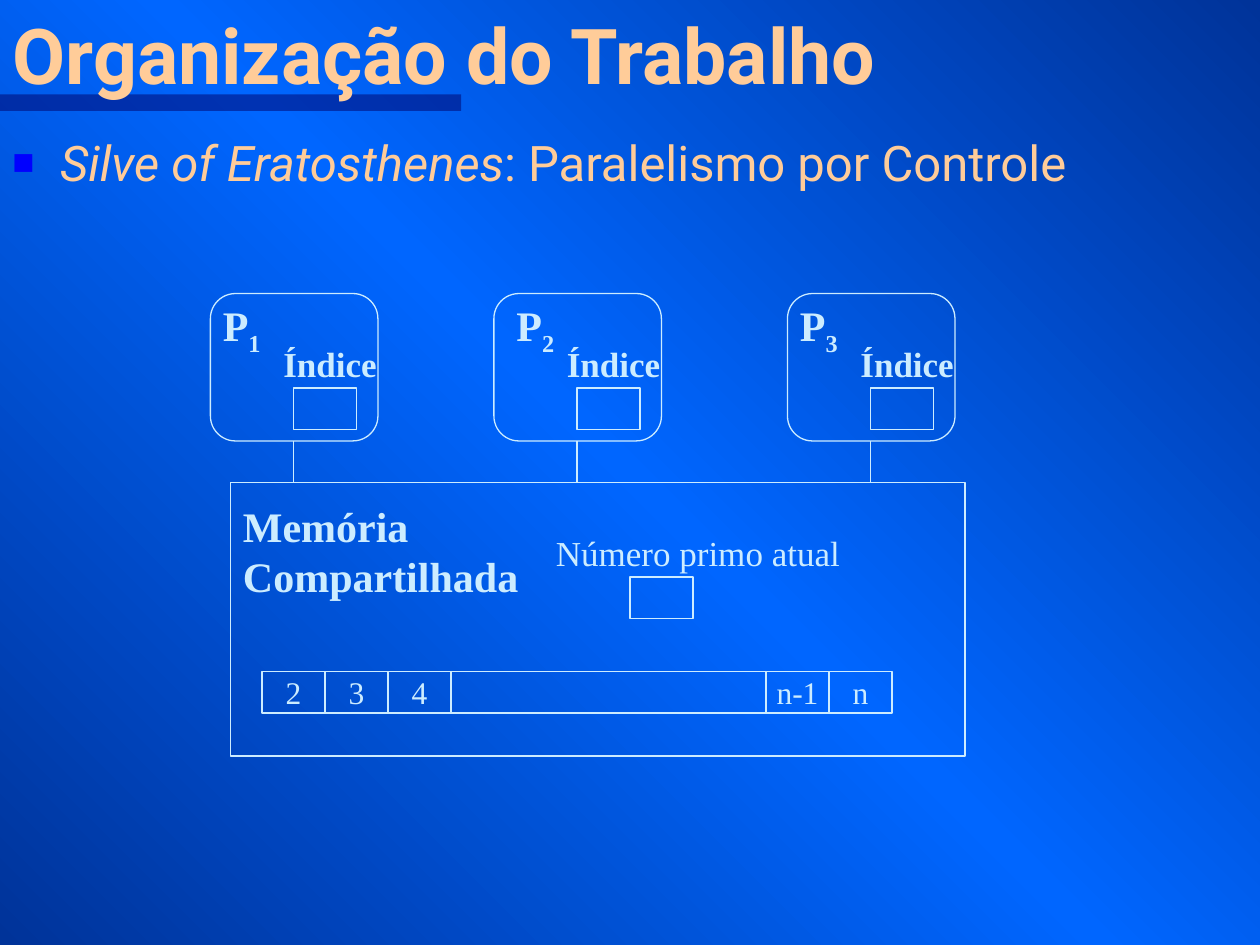
import copy
from dataclasses import dataclass

import pptx
import pptx.dml.color
import pptx.enum.shapes
import pptx.enum.text
import pptx.oxml
import pptx.oxml.ns
import pptx.util

Inches = pptx.util.Inches
Pt = pptx.util.Pt
SHAPES = pptx.enum.shapes.MSO_SHAPE
ALIGN = pptx.enum.text.PP_ALIGN
ANCHOR = pptx.enum.text.MSO_ANCHOR
AUTO_SIZE = pptx.enum.text.MSO_AUTO_SIZE


@dataclass(frozen=True)
class Theme:
    edge: str = "003399"
    glow: str = "0066FF"
    bar: str = "000066"
    heading: str = "FFCC99"
    bullet: str = "0000FF"
    diagram: str = "CCECFF"
    heading_font: str = "Roboto"
    diagram_font: str = "Times New Roman"
    title_size: int = 44
    body_size: int = 28
    name_size: int = 24
    label_size: int = 20
    cell_size: int = 18
    line_width: float = 0.75


THEME = Theme()


def rgb(value):
    return pptx.dml.color.RGBColor.from_string(value)


def add_xml(parent, tag, **attributes):
    child = pptx.oxml.parse_xml(f"<a:{tag} {pptx.oxml.ns.nsdecls('a')}/>")
    for name, value in attributes.items():
        child.set(name, value)
    parent.append(child)


def add_run(paragraph, text, size, color=THEME.diagram, font=THEME.diagram_font,
            bold=False, italic=False):
    run = paragraph.add_run()
    run.text = text
    run.font.size = Pt(size)
    run.font.name = font
    run.font.color.rgb = rgb(color)
    run.font.bold = bold
    run.font.italic = italic
    return run


def paint_background(slide):
    fill = slide.background.fill
    fill.gradient()
    fill.gradient_angle = 225
    stops = slide._element.xpath(".//a:gsLst")[0]
    stops.insert(1, copy.deepcopy(stops[0]))
    colors = (THEME.edge, THEME.glow, THEME.edge)
    for stop, position, color in zip(fill.gradient_stops, (0, 0.5, 1), colors):
        stop.position = position
        stop.color.rgb = rgb(color)


def add_title_bar(slide):
    bar = slide.shapes.add_shape(SHAPES.RECTANGLE, 0, Inches(0.75), Inches(3.66), Inches(0.13))
    bar.shadow.inherit = False
    bar.line.fill.background()
    bar.fill.solid()
    bar.fill.fore_color.rgb = rgb(THEME.bar)
    add_xml(bar._element.xpath(".//a:solidFill/a:srgbClr")[0], "alpha", val="50000")
    slide.shapes._spTree.insert(2, bar._element)


def set_title(slide, text):
    title = slide.shapes.title
    title.left, title.top = 0, Inches(-0.08)
    title.width, title.height = Inches(10), Inches(0.92)
    frame = title.text_frame
    frame.auto_size = AUTO_SIZE.NONE
    frame.vertical_anchor = ANCHOR.BOTTOM
    frame.paragraphs[0].alignment = ALIGN.LEFT
    add_run(frame.paragraphs[0], text, THEME.title_size, THEME.heading,
            THEME.heading_font, bold=True)


def add_text_box(slide, left, top, width, height, align=ALIGN.LEFT):
    box = slide.shapes.add_textbox(Inches(left), Inches(top), Inches(width), Inches(height))
    box.text_frame.word_wrap = True
    paragraph = box.text_frame.paragraphs[0]
    paragraph.alignment = align
    return paragraph


def add_bullet(slide, emphasis, rest):
    paragraph = add_text_box(slide, 0, 1, 10, 5.5)
    properties = paragraph._p.get_or_add_pPr()
    properties.set("marL", str(Inches(0.38)))
    properties.set("indent", str(Inches(-0.38)))
    add_xml(properties, "buClr")
    add_xml(properties[-1], "srgbClr", val=THEME.bullet)
    add_xml(properties, "buSzPct", val="75000")
    add_xml(properties, "buFont", typeface="Arial")
    add_xml(properties, "buChar", char="■")
    for text, italic in ((emphasis, True), (rest, False)):
        add_run(paragraph, text, THEME.body_size, THEME.heading,
                THEME.heading_font, italic=italic)


def add_outline(slide, left, top, width=0.5, height=0.33, kind=SHAPES.RECTANGLE):
    outline = slide.shapes.add_shape(kind, Inches(left), Inches(top),
                                     Inches(width), Inches(height))
    outline.shadow.inherit = False
    outline.fill.background()
    outline.line.color.rgb = rgb(THEME.diagram)
    outline.line.width = Pt(THEME.line_width)
    return outline


def add_link(slide, x, top, bottom):
    link = slide.shapes.add_connector(pptx.enum.shapes.MSO_CONNECTOR.STRAIGHT,
                                      Inches(x), Inches(top), Inches(x), Inches(bottom))
    link.line.color.rgb = rgb(THEME.diagram)
    link.line.width = Pt(THEME.line_width)
    add_xml(link._element.spPr, "effectLst")


def add_number_list(slide):
    left = 2.08
    for text, width in (("2", 0.5), ("3", 0.5), ("4", 0.5), ("", 2.5), ("n-1", 0.5), ("n", 0.5)):
        cell = add_outline(slide, left, 5.33, width)
        left += width
        if text:
            frame = cell.text_frame
            frame.word_wrap = False
            frame.vertical_anchor = ANCHOR.MIDDLE
            frame.paragraphs[0].alignment = ALIGN.CENTER
            add_run(frame.paragraphs[0], text, THEME.cell_size)


def add_shared_memory(slide):
    add_outline(slide, 1.83, 3.83, 5.83, 2.17)
    add_number_list(slide)
    name = add_text_box(slide, 1.83, 3.92, 2.58, 0.9)
    add_run(name, "Memória Compartilhada", THEME.name_size, bold=True)
    add_outline(slide, 5, 4.58)
    current_prime = add_text_box(slide, 4, 4.17, 3.08, 0.44, ALIGN.CENTER)
    add_run(current_prime, "Número primo atual", THEME.label_size)


def add_processor(slide, number, left, name_left):
    processor = add_outline(slide, left, 2.33, 1.33, 1.17, SHAPES.ROUNDED_RECTANGLE)
    processor.adjustments[0] = 0.17
    middle = left + 0.66
    add_link(slide, middle, 3.5, 3.83)
    name = add_text_box(slide, name_left, 2.33, 0.75, 0.56)
    add_run(name, "P", THEME.name_size, bold=True)
    subscript = add_run(name, number, THEME.name_size, bold=True)
    subscript.font._element.set("baseline", "-25000")
    index = add_text_box(slide, left + 0.41, 2.67, 1.08, 0.44, ALIGN.CENTER)
    add_run(index, "Índice", THEME.label_size, bold=True)
    add_outline(slide, middle, 3.08)


def main():
    presentation = pptx.Presentation()
    presentation.slide_width = Inches(10)
    presentation.slide_height = Inches(7.5)
    slide = presentation.slides.add_slide(presentation.slide_layouts[5])
    paint_background(slide)
    add_title_bar(slide)
    set_title(slide, "Organização do Trabalho")
    add_bullet(slide, "Silve of Eratosthenes", ": Paralelismo por Controle")
    add_shared_memory(slide)
    for number, left, name_left in (("1", 1.67, 1.67), ("2", 3.92, 4), ("3", 6.25, 6.25)):
        add_processor(slide, number, left, name_left)
    presentation.save("out.pptx")


if __name__ == "__main__":
    main()
